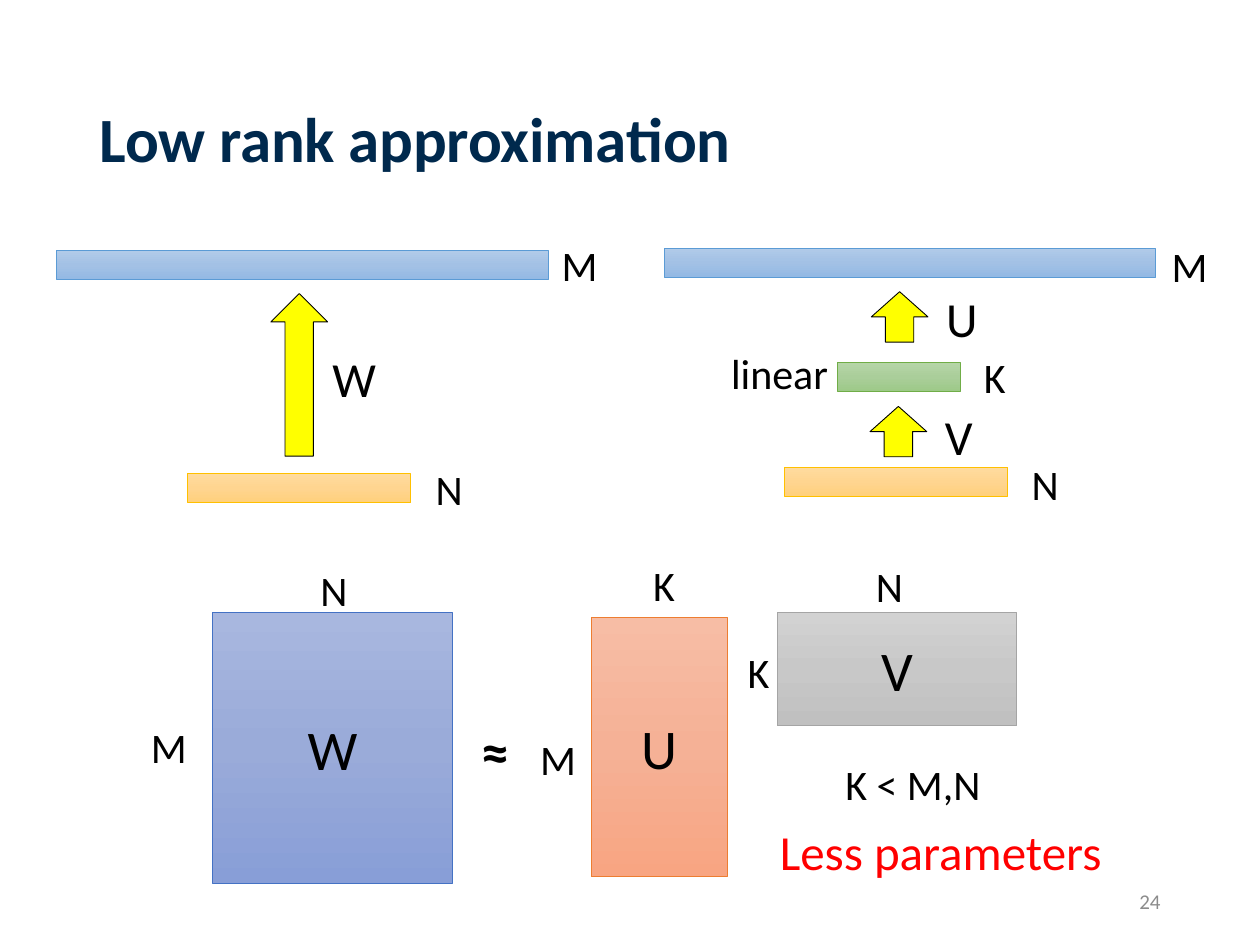
from copy import deepcopy
from pptx import Presentation
from pptx.dml.color import RGBColor
from pptx.enum.shapes import MSO_SHAPE
from pptx.enum.text import MSO_ANCHOR, MSO_AUTO_SIZE, PP_ALIGN
from pptx.oxml.ns import qn
from pptx.util import Inches, Pt

COLORS = {"navy": "00294D", "black": "000000", "red": "FF0000",
          "gray": "8C8C8C", "yellow": "FFFF00"}
GRADIENTS = {
    "blue": ("B1CBE9", "A3C1E5", "93B9E4", "5B9BD5"),
    "gold": ("FFDB9E", "FFD590", "FFD07C", "FFC000"),
    "green": ("B5D5A7", "AACE9A", "9CC987", "70AD47"),
    "indigo": ("A8B7DF", "9AABD9", "889ED7", "4472C4"),
    "orange": ("F7BDA5", "F5B196", "F8A582", "ED7D31"),
    "silver": ("D2D2D2", "C8C8C8", "C0C0C0", "A5A5A5"),
}
TITLE = "Low rank approximation"
BAR_H = 0.23
LAYERS = [
    (0.45, 1.99, 3.9, "blue"), (1.49, 3.76, 1.77, "gold"),
    (5.27, 1.97, 3.9, "blue"), (6.65, 2.88, 0.97, "green"),
    (6.23, 3.71, 1.77, "gold"),
]
ARROWS = [(1.73, 2.75, 1.29), (6.94, 2.29, 0.4), (6.93, 3.2, 0.4)]
MATRICES = [
    ("W", 1.69, 4.86, 1.9, 2.15, "indigo"),
    ("U", 4.69, 4.9, 1.08, 2.06, "orange"),
    ("V", 6.17, 4.86, 1.9, 0.9, "silver"),
]
WEIGHT_NAMES = [("W", 2.54, 2.72), ("U", 7.41, 2.24), ("V", 7.4, 3.18)]
LAYER_SIZES = [("M", 4.36, 1.85), ("N", 3.36, 3.63), ("M", 9.2, 1.86),
               ("N", 8.09, 3.59), ("K", 7.71, 2.74)]
MATRIX_SIZES = [("M", 0.99, 5.68), ("M", 4.08, 5.77), ("N", 2.3, 4.43),
                ("N", 6.71, 4.4), ("K", 4.92, 4.39), ("K", 5.67, 5.08)]

prs = Presentation()
prs.slide_width, prs.slide_height = Inches(10), Inches(7.5)
s = prs.slides.add_slide(prs.slide_layouts[5])


def write(tf, text, size, color="black", bold=False, align=PP_ALIGN.LEFT,
          anchor=MSO_ANCHOR.TOP):
    tf.word_wrap = True
    tf.vertical_anchor = anchor
    p = tf.paragraphs[0]
    p.alignment = align
    r = p.add_run()
    r.text = text
    for name, value in {"name": "Calibri", "size": Pt(size), "bold": bold}.items():
        setattr(r.font, name, value)
    r.font.color.rgb = RGBColor.from_string(COLORS[color])
    return p


def label(text, x, y, w, h, size, **style):
    tf = s.shapes.add_textbox(*map(Inches, (x, y, w, h))).text_frame
    write(tf, text, size, **style)
    tf.auto_size = MSO_AUTO_SIZE.NONE


def outlined(kind, x, y, w, h, line):
    sp = s.shapes.add_shape(kind, *map(Inches, (x, y, w, h)))
    sp.shadow.inherit = False
    sp.line.color.rgb = RGBColor.from_string(line)
    sp.line.width = Pt(0.5)
    return sp


def block(x, y, w, h, gradient):
    *stops, line = GRADIENTS[gradient]
    sp = outlined(MSO_SHAPE.RECTANGLE, x, y, w, h, line)
    sp.fill.gradient()
    sp.fill.gradient_angle = 270
    first = sp._element.spPr.find(qn("a:gradFill")).find(qn("a:gsLst"))[0]
    first.addnext(deepcopy(first))
    for i, (stop, color) in enumerate(zip(sp.fill.gradient_stops, stops)):
        stop.position = i / 2
        stop.color.rgb = RGBColor.from_string(color)
    return sp


title = s.shapes.title
title.left, title.top, title.width, title.height = map(Inches, (0.69, 0.4, 8.62, 1.45))
p = write(title.text_frame, TITLE, 36, "navy", True, anchor=MSO_ANCHOR.MIDDLE)
p.line_spacing = 0.9
p.runs[0].font._element.set("spc", "-10")

for x, y, w, gradient in LAYERS:
    block(x, y, w, BAR_H, gradient)

for x, y, length in ARROWS:
    sp = outlined(MSO_SHAPE.RIGHT_ARROW, x, y, length, 0.45, COLORS["black"])
    sp.rotation = 270
    sp.fill.solid()
    sp.fill.fore_color.rgb = RGBColor.from_string(COLORS["yellow"])

for text, x, y, w, h, gradient in MATRICES:
    write(block(x, y, w, h, gradient).text_frame, text, 32,
          align=PP_ALIGN.CENTER, anchor=MSO_ANCHOR.MIDDLE)

for text, x, y in WEIGHT_NAMES:
    label(text, x, y, 0.95, 0.57, 28)
for text, x, y in LAYER_SIZES:
    label(text, x, y, 0.64, 0.5, 24)
for text, x, y in MATRIX_SIZES:
    label(text, x, y, 0.7, 0.5, 24, align=PP_ALIGN.CENTER)

label("linear", 5.59, 2.71, 1.08, 0.5, 24, align=PP_ALIGN.RIGHT)
label("≈", 3.57, 5.64, 0.72, 0.64, 32, bold=True, align=PP_ALIGN.CENTER)
label("K < M,N", 6.45, 5.97, 1.59, 0.5, 24, align=PP_ALIGN.CENTER)
label("Less parameters", 6.09, 6.47, 2.92, 0.57, 28, color="red")
label("24", 7.06, 6.95, 2.25, 0.4, 12, color="gray", align=PP_ALIGN.RIGHT,
      anchor=MSO_ANCHOR.MIDDLE)

prs.save("out.pptx")
